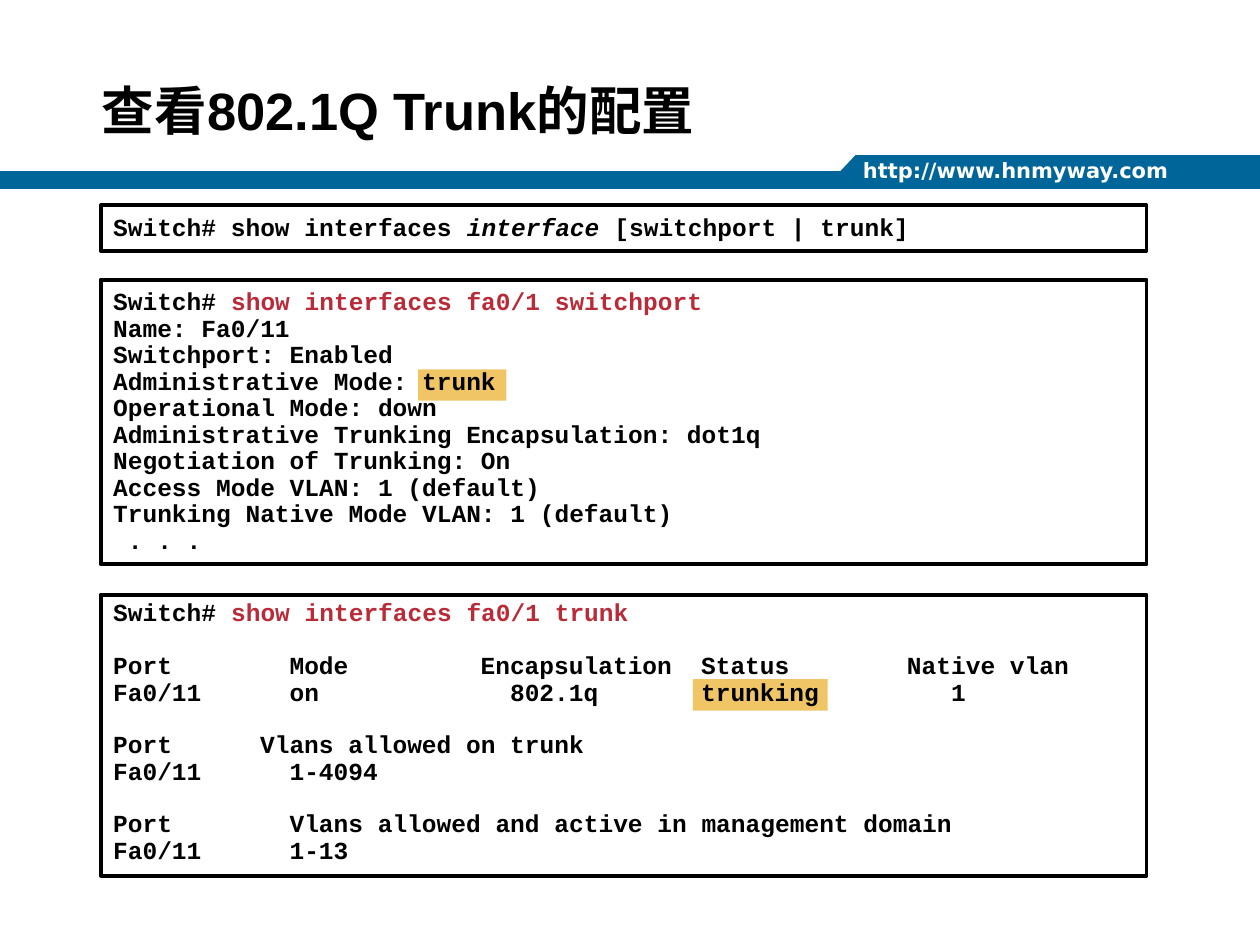
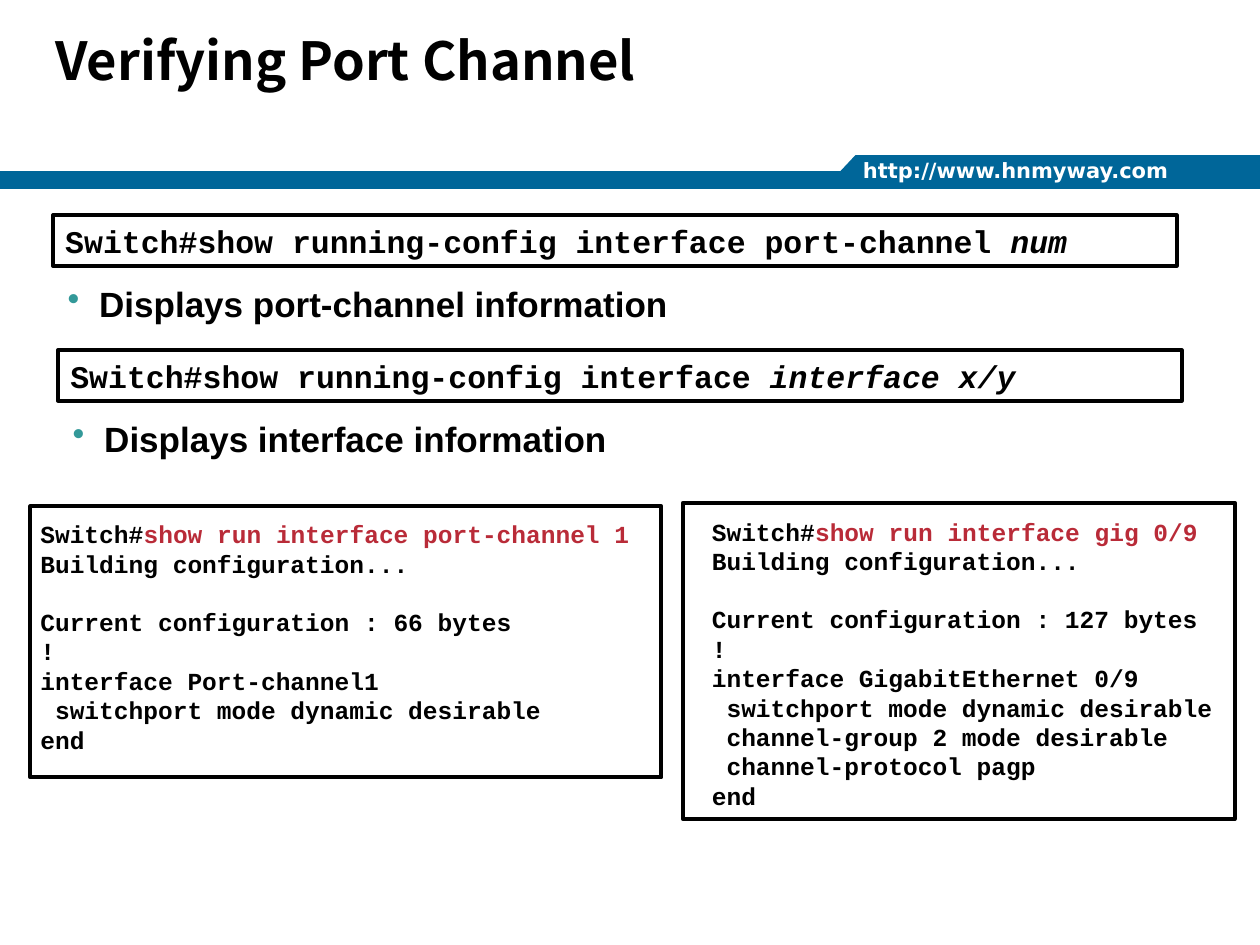
from lxml.etree import SubElement
from pptx import Presentation
from pptx.dml.color import RGBColor
from pptx.enum.shapes import MSO_SHAPE
from pptx.enum.text import MSO_ANCHOR, MSO_AUTO_SIZE, PP_ALIGN
from pptx.oxml.ns import qn
from pptx.util import Pt

COLORS = {"ink": "000000", "paper": "FFFFFF", "band": "006699",
          "typed": "B92B38", "highlight": "F0C566", "bullet": "339999"}
MONO, SANS, CJK, URL_FONT = "Courier New", "Arial", "Noto Sans CJK SC", "DejaVu Sans"
CHAR_WIDTH = 0.6    # of the type size, in the console font
LINE_HEIGHT = 1.18  # of the type size, for the gap between console blocks
BORDER = 2.25

URL = "http://www.hnmyway.com"
BAND_OUTLINE = [(0, 108), (0, 97.9), (480.2, 97.9), (488.9, 88.6), (720, 88.6), (720, 108)]

# A console text is a list of blocks of lines, set one line apart. A line is a
# string, a list of (text, style) runs, or a dict from character column to text.
TRUNK_TITLE = "查看802.1Q Trunk的配置"
TRUNK_SYNTAX = [[[("Switch# show interfaces ", ""), ("interface ", "italic"),
                  ("[switchport | trunk]", "")]]]
SWITCHPORT_OUTPUT = [[
    [("Switch# ", ""), ("show interfaces fa0/1 switchport", "typed")],
    "Name: Fa0/11",
    "Switchport: Enabled",
    "Administrative Mode: trunk",
    "Operational Mode: down",
    "Administrative Trunking Encapsulation: dot1q",
    "Negotiation of Trunking: On",
    "Access Mode VLAN: 1 (default)",
    "Trunking Native Mode VLAN: 1 (default)",
    " . . .",
]]
TRUNK_OUTPUT = [
    [[("Switch# ", ""), ("show interfaces fa0/1 trunk", "typed")]],
    [{0: "Port", 12: "Mode", 25: "Encapsulation", 40: "Status", 54: "Native vlan"},
     {0: "Fa0/11", 12: "on", 27: "802.1q", 40: "trunking", 57: "1"}],
    [{0: "Port", 10: "Vlans allowed on trunk"}, {0: "Fa0/11", 12: "1-4094"}],
    [{0: "Port", 12: "Vlans allowed and active in management domain"},
     {0: "Fa0/11", 12: "1-13"}],
]
# top, height, text, line spacing, top inset
TRUNK_PANELS = [
    (339.8, 160.6, TRUNK_OUTPUT, 0.9, 3.6),
    (159.8, 162.7, SWITCHPORT_OUTPUT, 0.9, 5.8),
    (117.4, 25.9, TRUNK_SYNTAX, 1, 3.6),
]
TRUNK_HIGHLIGHTS = [(396, 388.1, 77, 18), (239, 211, 50.4, 18)]

CHANNEL_TITLE = "Verifying Port Channel"
# left, top, command, italic argument, explanation
CHANNEL_COMMANDS = [
    (30.2, 123.1, "Switch#show running-config interface port-channel ", "num",
     "Displays port-channel information"),
    (33.1, 200.2, "Switch#show running-config interface ", "interface x/y",
     "Displays interface information"),
]
# frame, text area, text
CHANNEL_OUTPUTS = [
    ((17.3, 289.4, 360.7, 154.8), (17.3, 293.8, 357.1, 157), [
        [[("Switch#", ""), ("show run interface port-channel 1", "typed")],
         "Building configuration..."],
        ["Current configuration : 66 bytes", "!", "interface Port-channel1",
         " switchport mode dynamic desirable", "end"],
    ]),
    ((390.2, 287.3, 315.4, 180.7), (401, 292.3, 302.4, 190.8), [
        [[("Switch#", ""), ("show run interface gig 0/9", "typed")],
         "Building configuration..."],
        ["Current configuration : 127 bytes", "!", "interface GigabitEthernet 0/9",
         " switchport mode dynamic desirable", " channel-group 2 mode desirable",
         " channel-protocol pagp", "end"],
    ]),
]


def rgb(name):
    return RGBColor.from_string(COLORS[name])


def points(*lengths):
    return [Pt(length) for length in lengths]


def style_font(font, name, size, color="ink"):
    font.name, font.size, font.bold = name, Pt(size), True
    font.color.rgb = rgb(color)


def set_frame(frame, inset_x=7.2, inset_y=3.6, anchor=MSO_ANCHOR.TOP):
    frame.word_wrap = True
    frame.auto_size = MSO_AUTO_SIZE.NONE
    frame.vertical_anchor = anchor
    frame.margin_left = frame.margin_right = Pt(inset_x)
    frame.margin_top = frame.margin_bottom = Pt(inset_y)


def add_box(slide, box, fill=None, border=None):
    rect = slide.shapes.add_shape(MSO_SHAPE.RECTANGLE, *points(*box))
    rect.shadow.inherit = False
    if fill:
        rect.fill.solid()
        rect.fill.fore_color.rgb = rgb(fill)
    else:
        rect.fill.background()
    if border:
        rect.line.color.rgb = rgb(border)
        rect.line.width = Pt(BORDER)
    else:
        rect.line.fill.background()
    return rect


def add_label(slide, box, text, font_name, size, color="ink"):
    label = slide.shapes.add_textbox(*points(*box))
    set_frame(label.text_frame)
    label.text_frame.text = text
    paragraph = label.text_frame.paragraphs[0]
    style_font(paragraph.runs[0].font, font_name, size, color)
    return label


def set_tabs(paragraph, stops):
    tab_list = SubElement(paragraph._p.get_or_add_pPr(), qn("a:tabLst"))
    for stop in stops:
        SubElement(tab_list, qn("a:tab"), pos=str(Pt(stop)), algn="l")


def write_console(frame, blocks, size=14, spacing=1):
    paragraph = None
    for block in blocks:
        for index, line in enumerate(block):
            starts_block = paragraph is not None and index == 0
            paragraph = frame.paragraphs[0] if paragraph is None else frame.add_paragraph()
            if isinstance(line, dict):
                set_tabs(paragraph, [col * CHAR_WIDTH * size for col in line if col])
                line = "\t".join(line.values())
            runs = [(line, "")] if isinstance(line, str) else line
            paragraph.alignment = PP_ALIGN.LEFT
            paragraph.line_spacing = float(spacing)
            if starts_block:
                paragraph.space_before = Pt(round(size * LINE_HEIGHT * spacing, 1))
            for text, style in runs:
                run = paragraph.add_run()
                run.text = text
                style_font(run.font, MONO, size, "typed" if style == "typed" else "ink")
                run.font.italic = style == "italic"


def add_bullet(paragraph):
    properties = paragraph._p.get_or_add_pPr()
    properties.set("marL", str(Pt(18)))
    properties.set("indent", str(Pt(-18)))
    color = SubElement(properties, qn("a:buClr"))
    SubElement(color, qn("a:srgbClr"), val=COLORS["bullet"])
    SubElement(properties, qn("a:buChar"), char="•")


def add_titled_slide(prs, layout, title, box, font_name):
    slide = prs.slides.add_slide(layout)
    holder = slide.shapes.title
    holder.left, holder.top, holder.width, holder.height = points(*box)
    set_frame(holder.text_frame, 6.5, 2.9, MSO_ANCHOR.BOTTOM)
    holder.text_frame.text = title
    paragraph = holder.text_frame.paragraphs[0]
    paragraph.alignment = PP_ALIGN.LEFT
    paragraph.line_spacing = 0.9
    run = paragraph.runs[0]
    style_font(run.font, font_name, 30)
    SubElement(run._r.get_or_add_rPr(), qn("a:ea"), typeface=CJK)
    return slide


def move_band_to_layout(slide, layout):
    """Draw the band and its address, then hand them to the shared layout."""
    outline = slide.shapes.build_freeform(*points(*BAND_OUTLINE[0]))
    outline.add_line_segments([points(*corner) for corner in BAND_OUTLINE[1:]], close=True)
    band = outline.convert_to_shape()
    band.shadow.inherit = False
    band.fill.solid()
    band.fill.fore_color.rgb = rgb("band")
    band.line.fill.background()
    address = add_label(slide, (486, 86.4, 210.2, 21.6), URL, URL_FONT, 12, "paper")
    for part in (band, address):
        layout.shapes.element.append(part.element)


def fill_trunk_slide(slide):
    for box in TRUNK_HIGHLIGHTS:
        add_box(slide, box, fill="highlight")
    for top, height, text, spacing, inset in TRUNK_PANELS:
        panel = add_box(slide, (57.6, top, 597.6, height), border="ink")
        set_frame(panel.text_frame, inset_y=inset)
        write_console(panel.text_frame, text, spacing=spacing)


def fill_channel_slide(slide):
    for left, top, command, argument, explanation in CHANNEL_COMMANDS:
        panel = add_box(slide, (left, top, 642.2, 28.8), "paper", "ink")
        set_frame(panel.text_frame)
        write_console(panel.text_frame, [[[(command, ""), (argument, "italic")]]], size=18)
        note = add_label(slide, (left + 1.4, top + 34.6, 648, 31.7), explanation, SANS, 20)
        add_bullet(note.text_frame.paragraphs[0])
    for frame_box, text_box, text in CHANNEL_OUTPUTS:
        add_box(slide, frame_box, "paper", "ink")
        output = slide.shapes.add_textbox(*points(*text_box))
        set_frame(output.text_frame, 5.8, 2.9)
        write_console(output.text_frame, text)


def main():
    prs = Presentation()
    prs.slide_width, prs.slide_height = points(720, 540)
    title_only = prs.slide_layouts[5]
    trunk = add_titled_slide(prs, title_only, TRUNK_TITLE, (51.8, 18, 641.5, 66.2), SANS)
    move_band_to_layout(trunk, title_only)
    fill_trunk_slide(trunk)
    channel = add_titled_slide(prs, title_only, CHANNEL_TITLE, (25.2, 16.6, 648, 38.9), CJK)
    fill_channel_slide(channel)
    prs.save("out.pptx")


if __name__ == "__main__":
    main()
